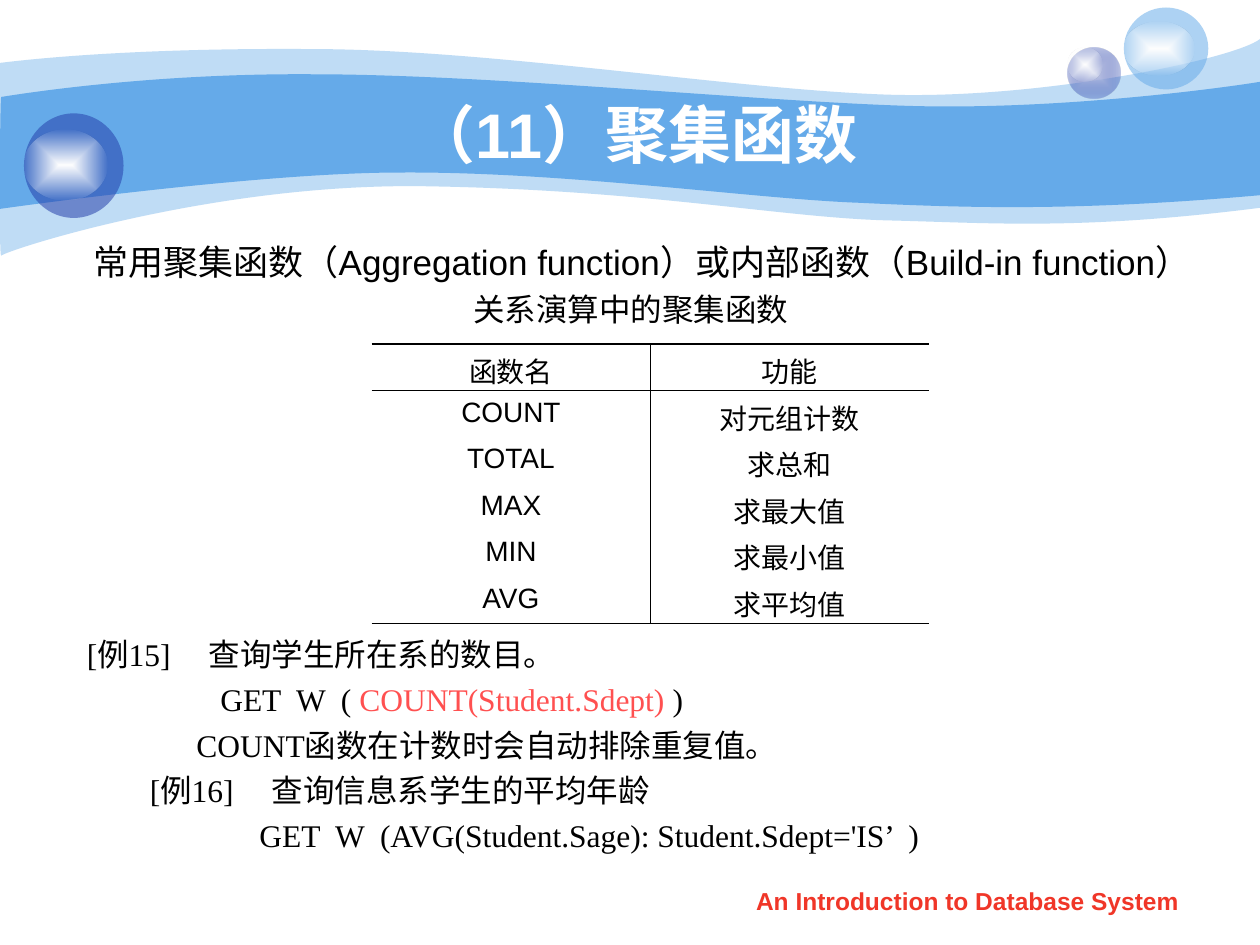
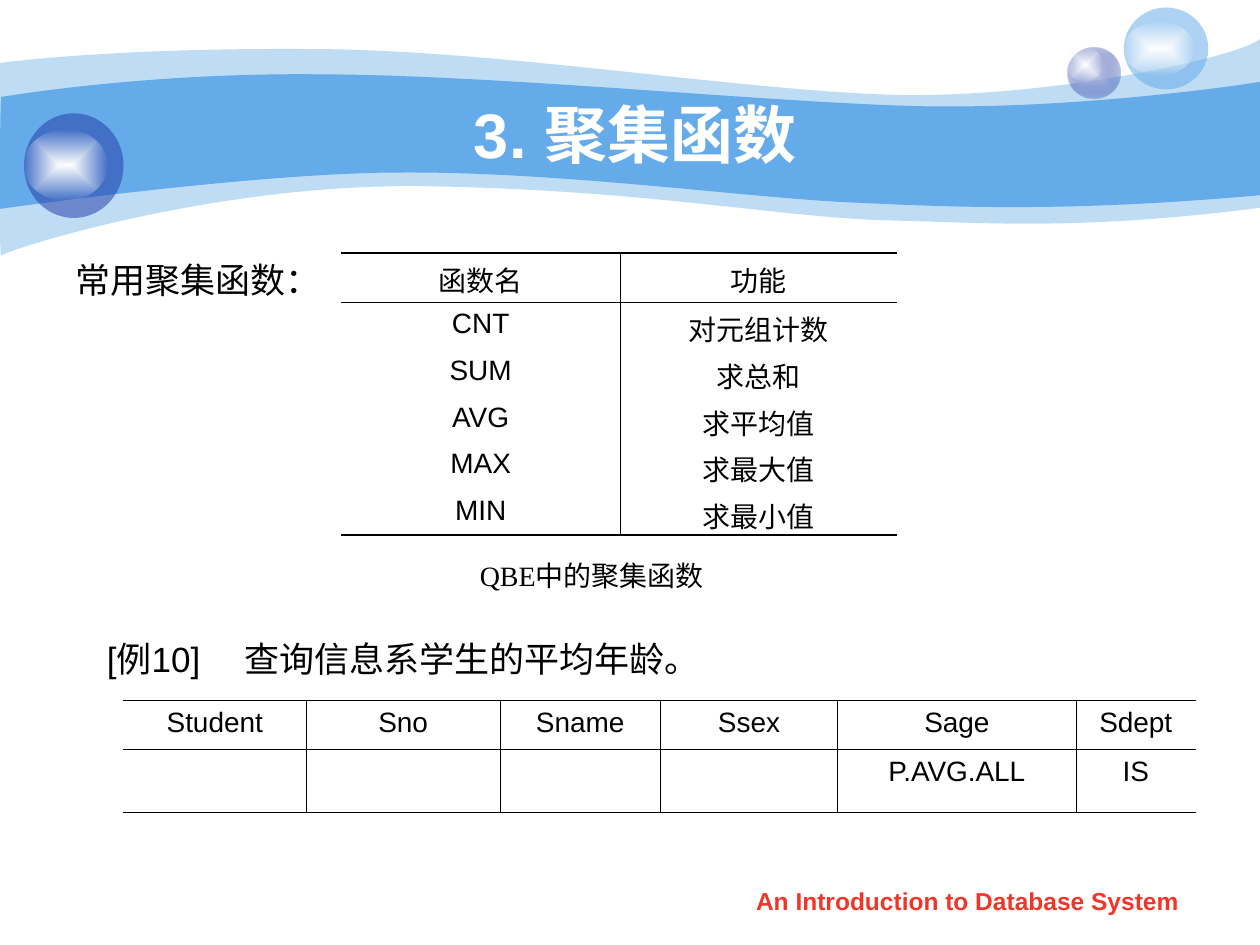
"""Builds two slides on aggregate functions in relational calculus and QBE."""
from dataclasses import dataclass

from lxml import etree
from pptx import Presentation
from pptx import util as u
from pptx.dml.color import RGBColor
from pptx.enum import shapes, text
from pptx.oxml import parse_xml
from pptx.oxml.ns import nsdecls, qn


@dataclass(frozen=True)
class Theme:
    """Colours, fonts and type sizes shared by the slides."""
    sky: str = "65AAE9"
    navy: str = "233DA9"
    haze: str = "C6CCE8"
    white: str = "FFFFFF"
    glow: str = "FEFEFE"
    ink: str = "000000"
    accent: str = "FF5050"
    footer: str = "F03628"
    sans: str = "Arial"
    serif: str = "Times New Roman"
    title_pt: int = 36
    body_pt: int = 20
    example_pt: int = 18
    cell_pt: int = 16
    footer_pt: int = 14
    rule_pt: float = 1.08
    hairline_pt: float = 0.45


THEME = Theme()
FOOTER = "An Introduction to Database System"
NO_TABLE_STYLE = "{2D5ABB26-0587-4C30-8999-92F81FD0307C}"
FUNCTION_HEADER = ("函数名", "功能")
MEANING = {"count": "对元组计数", "sum": "求总和", "max": "求最大值",
           "min": "求最小值", "avg": "求平均值"}
CALCULUS_FUNCTIONS = [FUNCTION_HEADER, ("COUNT", MEANING["count"]), ("TOTAL", MEANING["sum"]),
                      ("MAX", MEANING["max"]), ("MIN", MEANING["min"]), ("AVG", MEANING["avg"])]
QBE_FUNCTIONS = [FUNCTION_HEADER, ("CNT", MEANING["count"]), ("SUM", MEANING["sum"]),
                 ("AVG", MEANING["avg"]), ("MAX", MEANING["max"]), ("MIN", MEANING["min"])]
QBE_QUERY = [("Student", "Sno", "Sname", "Ssex", "Sage", "Sdept"),
             ("", "", "", "", "P.AVG.ALL", "IS")]

SLIDES = [
    {
        "title": "（11）聚集函数",
        "body": ("常用聚集函数（Aggregation function）或内部函数（Build-in function）",
                 (0.51, 1.86, 9.15, 0.81), 0.38, -0.25),
        "caption": ("关系演算中的聚集函数", (3.66, 2.25, 2.76, 0.4), THEME.example_pt),
        "tables": [(CALCULUS_FUNCTIONS, (2.95, 2.73), (2.21, 2.21), (0.37,) * 6)],
        "examples": {
            "box": (0.59, 4.93, 8.82, 1.9), "font": THEME.serif,
            "size": THEME.example_pt, "spacing": 1.2,
            "lines": [
                (["[例15]\t查询学生所在系的数目。"], 0.97, -0.97),
                (["GET  W  ( ", "COUNT(Student.Sdept) ", ")"], 1.06, 0),
                (["COUNT函数在计数时会自动排除重复值。"], 0.87, 0),
                (["[例16]\t查询信息系学生的平均年龄"], 1.47, -0.97),
                (["GET  W  (AVG(Student.Sage): Student.Sdept='IS’  )"], 1.37, 0),
            ],
        },
    },
    {
        "title": "3. 聚集函数",
        "body": ("常用聚集函数：", (0.5, 2, 4.42, 0.65), 0.38, -0.38),
        "caption": ("QBE中的聚集函数", (3.71, 4.38, 2.08, 0.37), THEME.cell_pt),
        "tables": [
            (QBE_FUNCTIONS, (2.71, 2.01), (2.21, 2.2), (0.39,) + (0.37,) * 5),
            (QBE_QUERY, (0.98, 5.56), (1.45, 1.54, 1.27, 1.41, 1.89, 0.95), (0.39, 0.5)),
        ],
        "examples": {
            "box": (0.75, 5.01, 8.75, 0.55), "font": THEME.sans,
            "size": THEME.body_pt, "spacing": 1.0,
            "lines": [(["[例10]\t查询信息系学生的平均年龄。"], 1.09, -1.09)],
        },
    },
]

WAVES = [
    (41, (0, 0.5), [
        [(0.24, 0.47), (1.07, 0.38), (2.47, 0.39)],
        [(3.86, 0.39), (5.75, 0.7), (6.99, 0.75)],
        [(8.22, 0.8), (9.8, 0.47), (10, 0.31)],
        [(10, 1.65)],
        [(8.58, 1.83), (7.87, 1.77), (7.05, 1.75)],
        [(6.22, 1.73), (5.15, 1.51), (3.43, 1.48)],
        [(1.72, 1.44), (0.04, 1.99), (0.01, 2.03)],
        [(-0.01, 2.08), (0, 0.75), (0, 0.5)]]),
    (100, (0.01, 0.77), [
        [(0.02, 0.77), (1.1, 0.58), (2.48, 0.59)],
        [(3.86, 0.59), (5.95, 0.8), (7.18, 0.84)],
        [(8.41, 0.88), (9.76, 0.69), (10, 0.65)],
        [(10, 1.55)],
        [(8.53, 1.68), (7.65, 1.65), (6.82, 1.61)],
        [(5.99, 1.58), (4.47, 1.36), (3.17, 1.37)],
        [(2.03, 1.37), (-0.02, 1.66), (-0.01, 1.66)],
        [(0, 1.66), (0, 0.77), (0.01, 0.77)]]),
]
SHINE = (THEME.white, THEME.glow, 0)
BUBBLES = [
    ((8.47, 0.38, 0.42, 0.4), (THEME.haze, THEME.navy, 31)),
    ((8.47, 0.38, 0.28, 0.27), SHINE),
    ((8.92, 0.06, 0.67, 0.65), (THEME.sky, 53)),
    ((8.92, 0.17, 0.56, 0.43), SHINE),
    ((0.19, 0.9, 0.79, 0.83), (THEME.navy, 53)),
    ((0.19, 1.03, 0.66, 0.56), SHINE),
]


def inches(values):
    return [u.Inches(value) for value in values]


def style(paragraph, size, font=THEME.sans, color=THEME.ink, bold=False):
    for run in paragraph.runs:
        run.font.size = u.Pt(size)
        run.font.name = font
        run.font.bold = bold
        run.font.color.rgb = RGBColor.from_string(color)


def indent(paragraph, left, first):
    properties = paragraph._p.get_or_add_pPr()
    properties.set("marL", str(u.Inches(left)))
    properties.set("indent", str(u.Inches(first)))
    etree.SubElement(properties, qn("a:buNone"))


def fill_solid(shape, color, opacity):
    shape.fill.solid()
    shape.fill.fore_color.rgb = RGBColor.from_string(color)
    if opacity < 100:
        tint = shape.element.spPr.find(".//" + qn("a:srgbClr"))
        etree.SubElement(tint, qn("a:alpha"), val=str(opacity * 1000))


def fill_radial(shape, center, edge, opacity):
    shape.fill.background()
    plain = shape.element.spPr.find(qn("a:noFill"))
    plain.getparent().replace(plain, parse_xml(
        f'<a:gradFill {nsdecls("a")} rotWithShape="1"><a:gsLst>'
        f'<a:gs pos="0"><a:srgbClr val="{center}"/></a:gs>'
        f'<a:gs pos="100000"><a:srgbClr val="{edge}"><a:alpha val="{opacity * 1000}"/>'
        '</a:srgbClr></a:gs></a:gsLst><a:path path="rect">'
        '<a:fillToRect l="50000" t="50000" r="50000" b="50000"/></a:path></a:gradFill>'))


def draw_wave(slide, start, segments):
    builder = slide.shapes.build_freeform(*inches(start))
    builder.add_line_segments([inches(point) for segment in segments for point in segment],
                              close=True)
    wave = builder.convert_to_shape()
    strokes = iter(list(wave.element.spPr.iter(qn("a:lnTo"))))
    for segment in segments:
        first, *others = [next(strokes) for _ in segment]
        if others:
            first.tag = qn("a:cubicBezTo")
            for stroke in others:
                first.append(stroke[0])
                stroke.getparent().remove(stroke)
    return wave


def decorate_layout(layout, slide):
    for holder in list(layout.placeholders):
        if holder.placeholder_format.idx >= 10:
            holder.element.getparent().remove(holder.element)
    decor = []
    for opacity, start, segments in WAVES:
        wave = draw_wave(slide, start, segments)
        fill_solid(wave, THEME.sky, opacity)
        decor.append(wave)
    for box, paint in BUBBLES:
        bubble = slide.shapes.add_shape(shapes.MSO_SHAPE.OVAL, *inches(box))
        (fill_solid if len(paint) == 2 else fill_radial)(bubble, *paint)
        decor.append(bubble)
    for position, part in enumerate(decor, start=2):
        part.line.fill.background()
        part.shadow.inherit = False
        layout.shapes.element.insert(position, part.element)


def place(holder, box):
    holder.left, holder.top, holder.width, holder.height = inches(box)
    holder.text_frame.auto_size = text.MSO_AUTO_SIZE.NONE
    holder.text_frame.word_wrap = True


def add_title(slide, wording):
    title = slide.shapes.title
    place(title, (1, 0.75, 8.08, 0.62))
    title.text_frame.text = wording
    title.text_frame.vertical_anchor = text.MSO_ANCHOR.MIDDLE
    heading = title.text_frame.paragraphs[0]
    heading.alignment = text.PP_ALIGN.CENTER
    style(heading, THEME.title_pt, color=THEME.white, bold=True)


def add_body(slide, wording, box, left, first):
    body = slide.placeholders[1]
    place(body, box)
    body.text_frame.text = wording
    intro = body.text_frame.paragraphs[0]
    intro.space_before = u.Pt(0)
    indent(intro, left, first)
    style(intro, THEME.body_pt)


def add_caption(slide, wording, box, size):
    frame = slide.shapes.add_textbox(*inches(box)).text_frame
    frame.text = wording
    frame.word_wrap = False
    frame.vertical_anchor = text.MSO_ANCHOR.MIDDLE
    style(frame.paragraphs[0], size, THEME.serif)


def add_examples(slide, box, font, size, spacing, lines):
    frame = slide.shapes.add_textbox(*inches(box)).text_frame
    frame.word_wrap = True
    for number, (pieces, left, first) in enumerate(lines):
        line = frame.add_paragraph() if number else frame.paragraphs[0]
        indent(line, left, first)
        line.line_spacing = spacing
        for piece in pieces:
            line.add_run().text = piece
        style(line, size, font)
        if len(pieces) > 1:
            line.runs[1].font.color.rgb = RGBColor.from_string(THEME.accent)


def border(cell, edges):
    properties = cell._tc.get_or_add_tcPr()
    ink = f'<a:solidFill><a:srgbClr val="{THEME.ink}"/></a:solidFill>'
    for position, (edge, width, shown) in enumerate(edges):
        properties.insert(position, parse_xml(
            f'<a:ln{edge} {nsdecls("a")} w="{u.Pt(width)}">'
            f'{ink if shown else "<a:noFill/>"}</a:ln{edge}>'))


def add_ruled_table(slide, rows, corner, widths, heights):
    frame = slide.shapes.add_table(len(rows), len(widths), *inches(
        (*corner, sum(widths), sum(heights))))
    table = frame.table
    table.first_row = table.horz_banding = False
    table._tbl.tblPr.find(qn("a:tableStyleId")).text = NO_TABLE_STYLE
    for column, width in zip(table.columns, widths):
        column.width = u.Inches(width)
    for row, height in zip(table.rows, heights):
        row.height = u.Inches(height)
    last_row, last_column = len(rows) - 1, len(widths) - 1
    thin, thick = THEME.hairline_pt, THEME.rule_pt
    for r, values in enumerate(rows):
        for c, value in enumerate(values):
            cell = table.cell(r, c)
            cell.text = value
            cell.fill.background()
            label = cell.text_frame.paragraphs[0]
            label.alignment = text.PP_ALIGN.CENTER
            style(label, THEME.cell_pt)
            border(cell, [("L", thin, c > 0), ("R", thin, c < last_column),
                          ("T", thin if r else thick, r < 2),
                          ("B", thick if r else thin, r in (0, last_row))])


def add_footer(slide):
    frame = slide.shapes.add_textbox(*inches((5.71, 6.98, 3.94, 0.35))).text_frame
    frame.word_wrap = True
    frame.text = FOOTER
    frame.paragraphs[0].alignment = text.PP_ALIGN.CENTER
    style(frame.paragraphs[0], THEME.footer_pt, color=THEME.footer, bold=True)


def main():
    deck = Presentation()
    deck.slide_width, deck.slide_height = inches((10, 7.5))
    layout = deck.slide_layouts[1]
    for number, content in enumerate(SLIDES):
        slide = deck.slides.add_slide(layout)
        if number == 0:
            decorate_layout(layout, slide)
        add_title(slide, content["title"])
        add_body(slide, *content["body"])
        add_caption(slide, *content["caption"])
        for table in content["tables"]:
            add_ruled_table(slide, *table)
        add_examples(slide, **content["examples"])
        add_footer(slide)
    deck.save("out.pptx")


if __name__ == "__main__":
    main()
